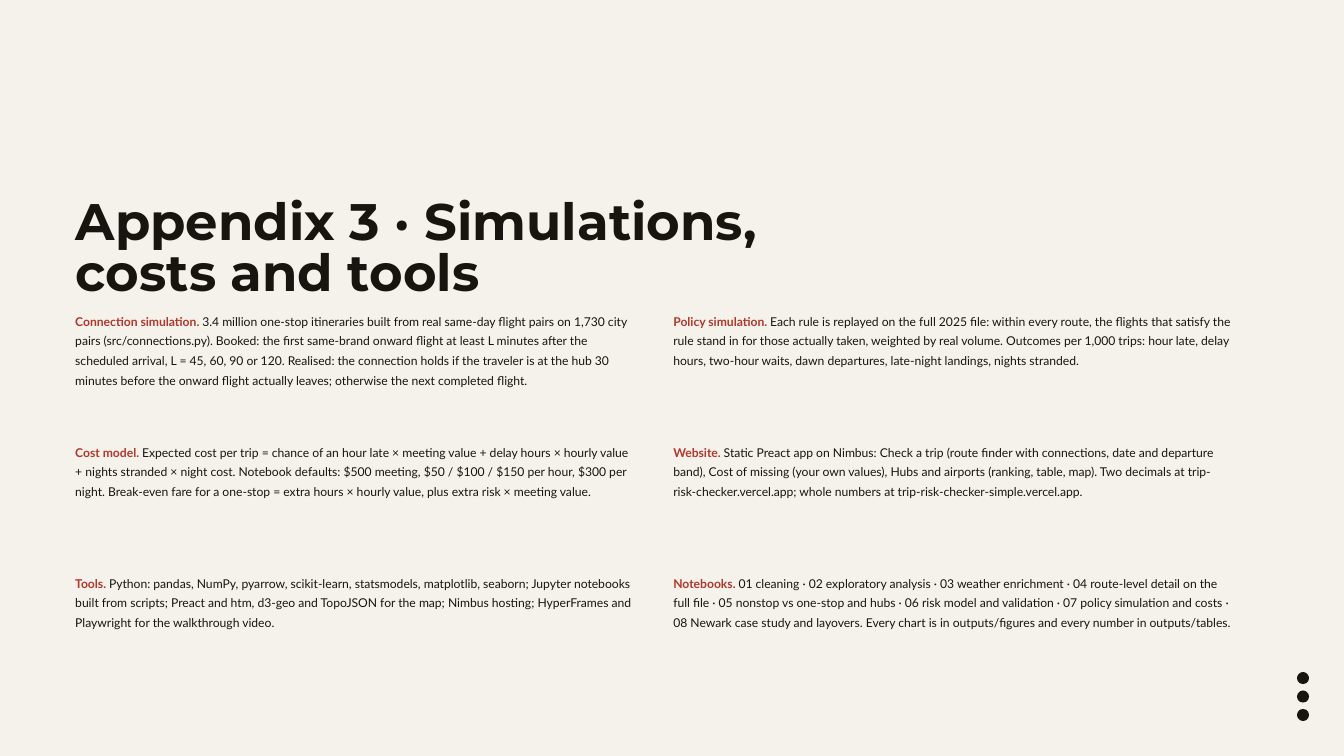
"""Build the appendix slide on simulations, costs and tools."""
from dataclasses import dataclass

from pptx import Presentation
from pptx import util as u
from pptx.dml.color import RGBColor
from pptx.enum import shapes, text

TITLE = "Appendix 3 · Simulations, costs and tools"
NOTES = [
    ("Connection simulation.", "3.4 million one-stop itineraries built from real same-day flight pairs on 1,730 city pairs (src/connections.py). Booked: the first same-brand onward flight at least L minutes after the scheduled arrival, L = 45, 60, 90 or 120. Realised: the connection holds if the traveler is at the hub 30 minutes before the onward flight actually leaves; otherwise the next completed flight."),
    ("Policy simulation.", "Each rule is replayed on the full 2025 file: within every route, the flights that satisfy the rule stand in for those actually taken, weighted by real volume. Outcomes per 1,000 trips: hour late, delay hours, two-hour waits, dawn departures, late-night landings, nights stranded."),
    ("Cost model.", "Expected cost per trip = chance of an hour late × meeting value + delay hours × hourly value + nights stranded × night cost. Notebook defaults: $500 meeting, $50 / $100 / $150 per hour, $300 per night. Break-even fare for a one-stop = extra hours × hourly value, plus extra risk × meeting value."),
    ("Website.", "Static Preact app on Nimbus: Check a trip (route finder with connections, date and departure band), Cost of missing (your own values), Hubs and airports (ranking, table, map). Two decimals at trip-risk-checker.vercel.app; whole numbers at trip-risk-checker-simple.vercel.app."),
    ("Tools.", "Python: pandas, NumPy, pyarrow, scikit-learn, statsmodels, matplotlib, seaborn; Jupyter notebooks built from scripts; Preact and htm, d3-geo and TopoJSON for the map; Nimbus hosting; HyperFrames and Playwright for the walkthrough video."),
    ("Notebooks.", "01 cleaning · 02 exploratory analysis · 03 weather enrichment · 04 route-level detail on the full file · 05 nonstop vs one-stop and hubs · 06 risk model and validation · 07 policy simulation and costs · 08 Newark case study and layovers. Every chart is in outputs/figures and every number in outputs/tables."),
]

PX = 9144
SLIDE_SIZE = (2000, 1125)
TITLE_BOX = (113, 297, 1200, 156)
NOTE_ORIGIN, NOTE_STEP, NOTE_SIZE = (112, 460), (890, 195), (830, 185)
COLUMNS = 2
DOT_LEFT, DOT_TOP, DOT_SIZE, DOT_STEP, DOT_COUNT = 1930, 1000, 18, 27.5, 3


@dataclass(frozen=True)
class Theme:
    paper: RGBColor = RGBColor.from_string("F5F2EC")
    ink: RGBColor = RGBColor.from_string("17150F")
    accent: RGBColor = RGBColor.from_string("B1372B")
    heading_font: str = "Montserrat"
    body_font: str = "Lato"
    heading_size: int = 55
    heading_line: int = 55
    body_size: int = 13
    body_line: int = 21


THEME = Theme()


def px(*lengths):
    return [u.Emu(round(length * PX)) for length in lengths]


def add_run(paragraph, content, *, font, size, color, bold=False):
    run = paragraph.add_run()
    run.text = content
    run.font.name, run.font.size, run.font.bold = font, u.Pt(size), bold
    run.font.color.rgb = color


def prepare_paragraph(shape, line):
    frame = shape.text_frame
    frame.margin_left = frame.margin_top = frame.margin_right = frame.margin_bottom = 0
    frame.word_wrap = True
    frame.auto_size = text.MSO_AUTO_SIZE.SHAPE_TO_FIT_TEXT
    frame.vertical_anchor = text.MSO_ANCHOR.TOP
    paragraph = frame.paragraphs[0]
    paragraph.alignment = text.PP_ALIGN.LEFT
    paragraph.line_spacing = u.Pt(line)
    paragraph.space_before = u.Pt(0)
    return paragraph


def add_title(slide):
    title = slide.shapes.title
    title.left, title.top, title.width, title.height = px(*TITLE_BOX)
    paragraph = prepare_paragraph(title, THEME.heading_line)
    add_run(paragraph, TITLE, font=THEME.heading_font, size=THEME.heading_size,
            color=THEME.ink, bold=True)


def add_notes(slide):
    for index, (label, body) in enumerate(NOTES):
        row, column = divmod(index, COLUMNS)
        left = NOTE_ORIGIN[0] + column * NOTE_STEP[0]
        top = NOTE_ORIGIN[1] + row * NOTE_STEP[1]
        box = slide.shapes.add_textbox(*px(left, top, *NOTE_SIZE))
        paragraph = prepare_paragraph(box, THEME.body_line)
        style = {"font": THEME.body_font, "size": THEME.body_size}
        add_run(paragraph, f"{label} ", color=THEME.accent, bold=True, **style)
        add_run(paragraph, body, color=THEME.ink, **style)


def add_dots(slide):
    for index in range(DOT_COUNT):
        top = DOT_TOP + index * DOT_STEP
        dot = slide.shapes.add_shape(shapes.MSO_SHAPE.OVAL,
                                     *px(DOT_LEFT, top, DOT_SIZE, DOT_SIZE))
        dot.shadow.inherit = False
        dot.fill.solid()
        dot.fill.fore_color.rgb = THEME.ink
        dot.line.fill.background()


def main():
    presentation = Presentation()
    presentation.slide_width, presentation.slide_height = px(*SLIDE_SIZE)
    slide = presentation.slides.add_slide(presentation.slide_layouts[5])
    slide.background.fill.solid()
    slide.background.fill.fore_color.rgb = THEME.paper
    add_dots(slide)
    add_title(slide)
    add_notes(slide)
    presentation.save("out.pptx")


if __name__ == "__main__":
    main()
